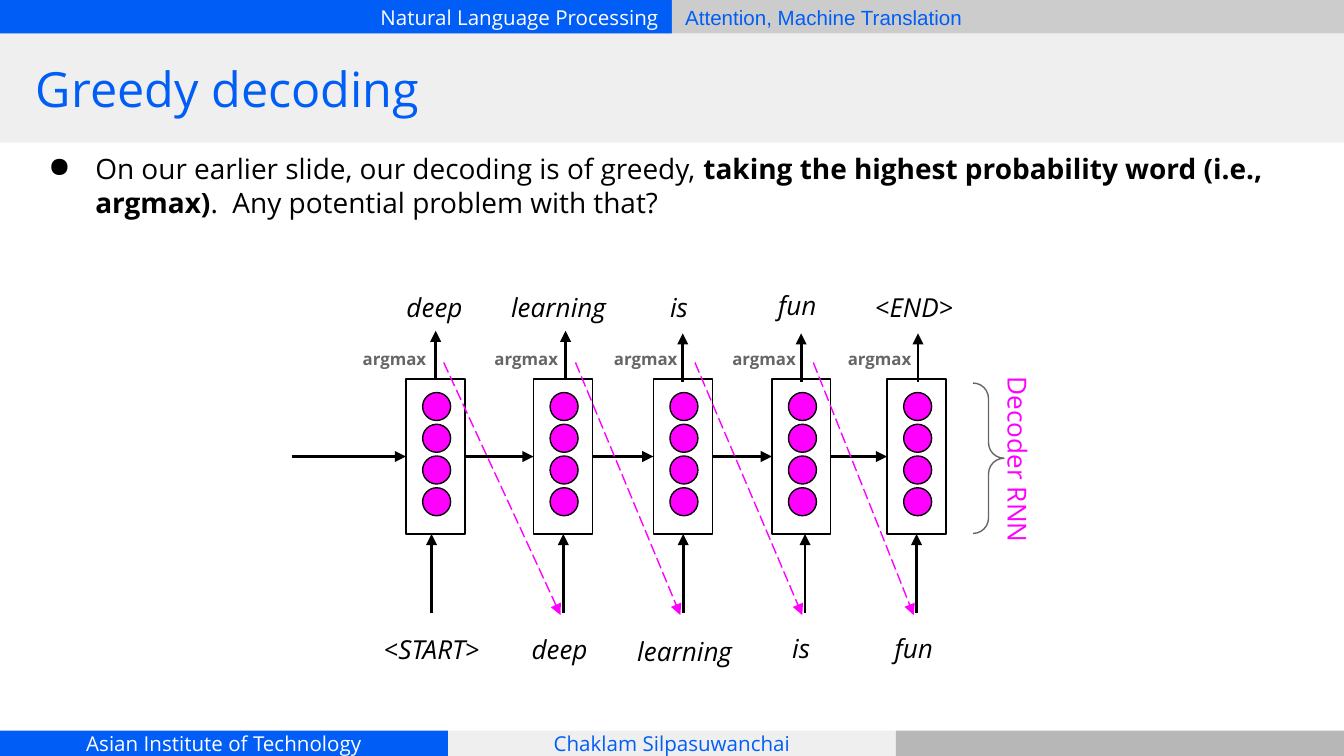
from dataclasses import dataclass
from lxml.etree import SubElement
from pptx import Presentation
from pptx.dml.color import RGBColor
from pptx.enum.dml import MSO_LINE
from pptx.enum.shapes import MSO_CONNECTOR, MSO_SHAPE
from pptx.enum.text import MSO_ANCHOR, PP_ALIGN
from pptx.oxml.ns import qn
from pptx.util import Pt


@dataclass(frozen=True)
class Theme:
    blue: str = "005EF6"
    white: str = "FFFFFF"
    black: str = "000000"
    pink: str = "FF00FF"
    gray: str = "666666"
    pale: str = "EFEFEF"
    light: str = "CCCCCC"
    mid: str = "B7B7B7"
    font: str = "Open Sans"
    alt: str = "Arial"
    title: int = 26
    body: int = 15
    word: int = 14
    bar: int = 11
    tag: int = 9


T = Theme()
LEFT, MID, RIGHT = PP_ALIGN.LEFT, PP_ALIGN.CENTER, PP_ALIGN.RIGHT

# Content
TITLE = "Greedy decoding"
BODY = [
    ("On our earlier slide, our decoding is of greedy, ", False),
    ("taking the highest probability word (i.e., argmax)", True),
    (".  Any potential problem with that?", False),
]
# text, box, fill, text colour, font, alignment
BARS = [
    ("Natural Language Processing", (0, 0, 360, 18), T.blue, T.white, T.font, RIGHT),
    ("Attention, Machine Translation", (360, 0, 360, 18), T.light, T.blue, T.alt, LEFT),
    ("Asian Institute of Technology", (0, 391.5, 240, 13.5), T.blue, T.white, T.font, MID),
    ("Chaklam Silpasuwanchai", (240, 391.5, 240, 13.5), T.pale, T.blue, T.font, MID),
    ("", (480, 391.5, 240, 13.5), T.mid, T.blue, T.font, MID),
    ("", (0, 18, 720, 58.5), T.pale, T.blue, T.font, LEFT),
]
# cell left, argmax left, (input word, centre, top, arrow x),
# (output word, centre, top, arrow x, arrow tip)
STEPS = [
    (217.5, 187.2, ("<START>", 231.4, 329.8, 231.2), ("deep", 232.8, 146.2, 233.4, 177.2)),
    (285.8, 257.8, ("deep", 299.8, 329.8, 301.8), ("learning", 299.2, 146.2, 303, 177.2)),
    (350, 321.8, ("learning", 366.8, 330.5, 366), ("is", 363.8, 146.2, 365.8, 178.6)),
    (413.5, 385.2, ("is", 429.2, 329, 431.3), ("fun", 427.2, 145.5, 429.2, 178.6)),
    (475.2, 447.1, ("fun", 489.6, 329, 491), ("<END>", 489.8, 146.2, 491.8, 178.6)),
]
CELL_W, CELL_TOP, CELL_H = 31.6, 203.1, 83
DOT, DOT_TOP, DOT_GAP, DOTS = 15, 210.3, 17, 4
FLOW_Y, FEED_Y = 244.6, 328.4

deck = Presentation()
deck.slide_width, deck.slide_height = Pt(720), Pt(405)
slide = deck.slides.add_slide(deck.slide_layouts[6])


def rgb(tone):
    return RGBColor.from_string(tone)


def fill_text(shape, runs, size, tone, align=LEFT, anchor=MSO_ANCHOR.TOP,
              font=T.font, slant=False, space=None):
    frame = shape.text_frame
    frame.word_wrap = True
    frame.vertical_anchor = anchor
    frame.margin_left = frame.margin_right = Pt(7.2)
    frame.margin_top = frame.margin_bottom = Pt(7.2)
    para = frame.paragraphs[0]
    para.alignment, para.line_spacing = align, space
    for words, bold in runs:
        run = para.add_run()
        run.text = words
        run.font.name, run.font.size = font, Pt(size)
        run.font.bold, run.font.italic = bold, slant
        run.font.color.rgb = rgb(tone)
    return para


def add_text(box, *args, **kind):
    shape = slide.shapes.add_textbox(*map(Pt, box))
    return shape, fill_text(shape, *args, **kind)


def add_shape(home, form, box, fill=None, line=None):
    shape = home.shapes.add_shape(form, *map(Pt, box))
    shape.shadow.inherit = False
    if fill:
        shape.fill.solid()
        shape.fill.fore_color.rgb = rgb(fill)
    else:
        shape.fill.background()
    if line:
        shape.line.color.rgb = rgb(line)
        shape.line.width = Pt(0.75)
    else:
        shape.line.fill.background()
    return shape


def add_arrow(start, end, tone=T.black, width=1.5, dash=None):
    link = slide.shapes.add_connector(MSO_CONNECTOR.STRAIGHT, *map(Pt, (*start, *end)))
    link.line.color.rgb = rgb(tone)
    link.line.width = Pt(width)
    if dash:
        link.line.dash_style = dash
    SubElement(link.line._get_or_add_ln(), qn("a:tailEnd"), type="triangle")
    SubElement(link._element.spPr, qn("a:effectLst"))


def add_word(words, centre, top):
    add_text((centre - 35.6, top, 71.2, 31.7), [(words, False)], T.word, T.black,
             align=MID, slant=True, space=1.15)


# Bars and title
for words, box, fill, tone, font, align in BARS:
    bar = add_shape(slide, MSO_SHAPE.RECTANGLE, box, fill)
    if words:
        fill_text(bar, [(words, False)], T.bar, tone, align, MSO_ANCHOR.MIDDLE, font)
add_text((12.2, 18, 696, 58.5), [(TITLE, False)], T.title, T.blue,
         anchor=MSO_ANCHOR.MIDDLE)

# Bulleted question
shape, para = add_text((8, 74.2, 690, 60), BODY, T.body, T.black)
props = para._p.get_or_add_pPr()
props.set("marL", str(Pt(36)))
props.set("indent", str(-Pt(25.2)))
tint = SubElement(props, qn("a:buClr"))
SubElement(tint, qn("a:srgbClr"), val=T.black)
SubElement(props, qn("a:buChar"), char="●")

# Decoder cells with their words and arrows
flow = 156.2
for left, tag, feed, out in STEPS:
    cell = slide.shapes.add_group_shape()
    add_shape(cell, MSO_SHAPE.RECTANGLE, (left, CELL_TOP, CELL_W, CELL_H), line=T.black)
    for i in range(DOTS):
        spot = (left + 8.9, DOT_TOP + i * DOT_GAP, DOT, DOT)
        add_shape(cell, MSO_SHAPE.OVAL, spot, T.pink, T.black)
    add_arrow((flow, FLOW_Y), (left, FLOW_Y))
    flow = left + CELL_W

    word, centre, top, x = feed
    add_word(word, centre, top)
    add_arrow((x, FEED_Y), (x, CELL_TOP + CELL_H))

    word, centre, top, x, tip = out
    add_word(word, centre, top)
    add_arrow((x, tip + 26), (x, tip))
    add_text((tag, 181.4, 51.1, 25.2), [("argmax", True)], T.tag, T.gray)

# Each output feeds the next input
for (_, tag, _, _), (_, _, feed, _) in zip(STEPS, STEPS[1:]):
    add_arrow((tag + 50.5, 194.2), (feed[3] - 1.5, 329.5), T.pink, 0.75, MSO_LINE.LONG_DASH)

# Decoder label
brace = add_shape(slide, MSO_SHAPE.RIGHT_BRACE, (521.3, 205.2, 16.6, 80.6), line=T.gray)
brace.adjustments[0] = brace.adjustments[1] = 0.5
label, para = add_text((479.6, 230.4, 136, 31.7), [("Decoder RNN", False)],
                       T.word, T.pink, align=MID, space=1.15)
label.rotation = 90

deck.save("out.pptx")
